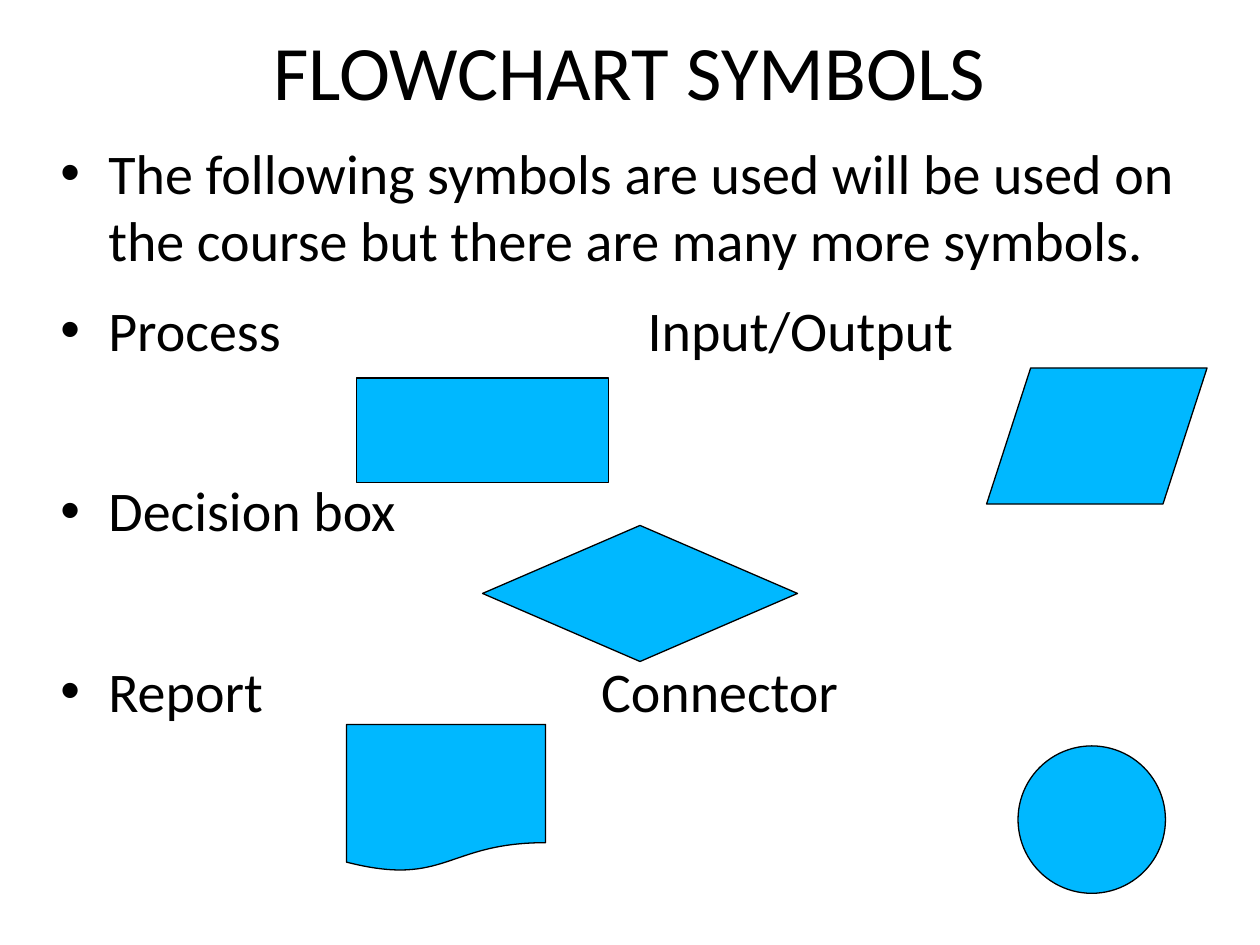
from lxml import etree
from pptx import Presentation
from pptx import util as u
from pptx.dml.color import RGBColor
from pptx.enum import shapes, text
from pptx.oxml.ns import qn


def colour(hex_value):
    return RGBColor.from_string(hex_value)


class SlideBuilder:
    font_name = "Calibri"
    ink = "000000"
    symbol_fill = "00B8FF"

    def __init__(self, deck):
        self.slide = deck.slides.add_slide(deck.slide_layouts[1])

    def place(self, box, left, top, width, height):
        box.left, box.top = u.Inches(left), u.Inches(top)
        box.width, box.height = u.Inches(width), u.Inches(height)
        frame = box.text_frame
        frame.margin_left = frame.margin_right = 0
        frame.margin_top = frame.margin_bottom = 0
        frame.word_wrap = True
        frame.auto_size = text.MSO_AUTO_SIZE.NONE
        return frame

    def style(self, para, size):
        para.font.name = self.font_name
        para.font.size = u.Pt(size)
        para.font.color.rgb = colour(self.ink)

    def title(self, wording, *bounds):
        frame = self.place(self.slide.shapes.title, *bounds)
        frame.vertical_anchor = text.MSO_ANCHOR.MIDDLE
        para = frame.paragraphs[0]
        para.text = wording
        para.alignment = text.PP_ALIGN.CENTER
        para.line_spacing = 0.97
        self.style(para, 44)

    def bullets(self, items, *bounds):
        """Each item is (wording, line spacing, points before, tab stop)."""
        frame = self.place(self.slide.placeholders[1], *bounds)
        for index, (wording, spacing, before, stop) in enumerate(items):
            para = frame.add_paragraph() if index else frame.paragraphs[0]
            para.text = wording
            properties = para._p.get_or_add_pPr()
            properties.set("marL", str(u.Inches(0.38)))
            properties.set("indent", str(u.Inches(-0.38)))
            etree.SubElement(properties, qn("a:buChar"), char="•")
            if stop:
                tabs = etree.SubElement(properties, qn("a:tabLst"))
                etree.SubElement(tabs, qn("a:tab"), pos=str(u.Inches(stop)), algn="l")
            para.line_spacing = spacing
            para.space_before = u.Pt(before)
            self.style(para, 32)

    def symbol(self, kind, *bounds):
        shape = self.slide.shapes.add_shape(kind, *map(u.Inches, bounds))
        shape.shadow.inherit = False
        shape.fill.solid()
        shape.fill.fore_color.rgb = colour(self.symbol_fill)
        shape.line.color.rgb = colour(self.ink)
        shape.line.width = u.Pt(0.75)
        self.style(shape.text_frame.paragraphs[0], 18)


def main():
    deck = Presentation()
    deck.slide_width, deck.slide_height = u.Inches(10), u.Inches(7.5)
    page = SlideBuilder(deck)

    # Title and labels, with room under each label for its symbol
    page.title("FLOWCHART SYMBOLS", 0.5, 0.14, 8.99, 0.89)
    intro = ("The following symbols are used will be used on the course "
             "but there are many more symbols.")
    page.bullets([
        (intro, 1, 0, None),
        ("Process\tInput/Output", 1.19, 5.5, 4.66),
        ("Decision box", 1.19, 57.5, None),
        ("Report\tConnector", 1.19, 57.5, 4.29),
    ], 0.48, 1.1, 8.99, 5.71)

    # Flowchart symbols
    kinds = shapes.MSO_SHAPE
    page.symbol(kinds.RECTANGLE, 2.83, 3, 2, 0.83)
    page.symbol(kinds.OVAL, 8.08, 5.92, 1.17, 1.17)
    page.symbol(kinds.FLOWCHART_DECISION, 3.83, 4.17, 2.5, 1.08)
    page.symbol(kinds.FLOWCHART_DATA, 7.83, 2.92, 1.75, 1.08)
    page.symbol(kinds.FLOWCHART_DOCUMENT, 2.75, 5.75, 1.58, 1.17)

    deck.save("out.pptx")


if __name__ == "__main__":
    main()
